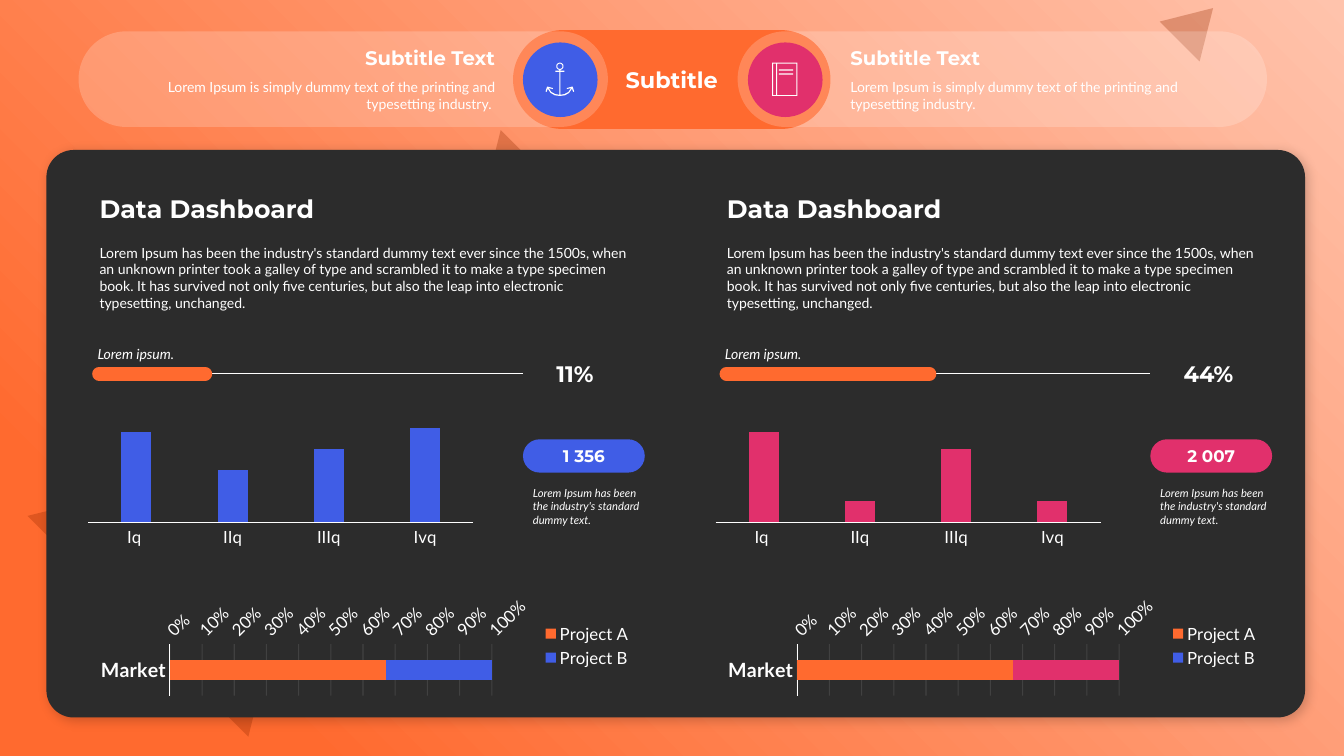
import math
from lxml import etree
from pptx import Presentation
from pptx import util as u
from pptx.chart.data import CategoryChartData
from pptx.dml.color import RGBColor
from pptx.enum import chart as ch, shapes, text
from pptx.oxml import ns, parse_xml

ORANGE, BLUE, PINK = "FF6A2F", "405DE6", "E1306C"
WHITE, DARK, BROWN = "FFFFFF", "2C2C2C", "972B00"
HEAD, BODY = "Montserrat", "Lato"
SHAPE, ALIGN, ANCHOR = shapes.MSO_SHAPE, text.PP_ALIGN, text.MSO_ANCHOR
INSETS = (0.25, 0.13, 0.25, 0.13)

SHORT = "Lorem Ipsum is simply dummy text of the printing and typesetting industry."
LONG = ("Lorem Ipsum has been the industry's standard dummy text ever since the 1500s, "
        "when an unknown printer took a galley of type and scrambled it to make a type "
        "specimen book. It has survived not only five centuries, but also the leap into "
        "electronic typesetting, unchanged.")
NOTE = "Lorem Ipsum has been the industry's standard dummy text."


def rgb(value):
    return RGBColor.from_string(value)


def xml(markup):
    return parse_xml(markup.replace(" NS", " " + ns.nsdecls("a", "c"), 1))


def set_alpha(element, percent):
    color = element.find(".//" + ns.qn("a:srgbClr"))
    etree.SubElement(color, ns.qn("a:alpha")).set("val", str(percent * 1000))


def add_text(tf, content, size=10, font=BODY, bold=False, italic=False,
             align=ALIGN.LEFT, after=0):
    p = tf.paragraphs[0] if not tf.text else tf.add_paragraph()
    p.alignment, p.space_after = align, u.Pt(after)
    r = p.add_run()
    r.text = content
    f = r.font
    f.size, f.name, f.bold, f.italic = u.Pt(size), font, bold, italic
    f.color.rgb = rgb(WHITE)


class Deck:
    def __init__(self):
        self.prs = Presentation()
        self.prs.slide_width, self.prs.slide_height = u.Cm(33.87), u.Cm(19.05)
        self.s = self.prs.slides.add_slide(self.prs.slide_layouts[6])

    def frame(self, sp, insets, anchor):
        tf = sp.text_frame
        tf.word_wrap, tf.vertical_anchor = True, anchor
        (tf.margin_left, tf.margin_top,
         tf.margin_right, tf.margin_bottom) = map(u.Cm, insets)
        return tf

    def paint(self, sp, color, alpha=None):
        sp.shadow.inherit = False
        sp.fill.solid()
        sp.fill.fore_color.rgb = rgb(color)
        sp.line.fill.background()
        if alpha:
            set_alpha(sp._element.spPr, alpha)
        return sp

    def shape(self, kind, box, color, alpha=None, adj=None, rotation=0):
        sp = self.s.shapes.add_shape(kind, *map(u.Cm, box))
        sp.rotation = rotation
        if adj is not None:
            sp.adjustments[0] = adj
        return self.paint(sp, color, alpha)

    def pill(self, box, color, insets=(0, 0, 0, 0), alpha=None):
        sp = self.shape(SHAPE.ROUNDED_RECTANGLE, box, color, alpha, adj=0.5)
        return self.frame(sp, insets, ANCHOR.MIDDLE)

    def label(self, box, content, anchor=ANCHOR.TOP, insets=INSETS, **style):
        sp = self.s.shapes.add_textbox(*map(u.Cm, box))
        add_text(self.frame(sp, insets, anchor), content, **style)

    def line(self, x, y, length, color, width, cap="flat"):
        c = self.s.shapes.add_connector(shapes.MSO_CONNECTOR.STRAIGHT, u.Cm(x), u.Cm(y),
                                        u.Cm(x + length), u.Cm(y))
        c.line.color.rgb, c.line.width = rgb(color), u.Pt(width)
        c.line._get_or_add_ln().set("cap", cap)
        etree.SubElement(c._element.spPr, ns.qn("a:effectLst"))

    def icon(self, x, y, contours):
        """Contours are in hundredths of a millimetre from (x, y)."""
        fb = None
        for points in contours:
            if fb is None:
                fb = self.s.shapes.build_freeform(*points[0], scale=u.Cm(0.001))
            else:
                fb.move_to(*points[0])
            fb.add_line_segments(points[1:], close=True)
        self.paint(fb.convert_to_shape(u.Cm(x), u.Cm(y)), WHITE)

    def chart(self, kind, box, categories, series, size, gap, overlap):
        data = CategoryChartData()
        data.categories = categories
        for name, values, _ in series:
            data.add_series(name, values)
        chart = self.s.shapes.add_chart(kind, *map(u.Cm, box), data).chart
        chart.has_title = chart.has_legend = False
        chart.font.size, chart.font.name = u.Pt(size), BODY
        chart.font.color.rgb = rgb(WHITE)
        plot = chart.plots[0]
        plot.gap_width, plot.overlap, plot.vary_by_categories = gap, overlap, False
        for ser, (_, _, color) in zip(plot.series, series):
            ser.format.fill.solid()
            ser.format.fill.fore_color.rgb = rgb(color)
        for axis in (chart.category_axis, chart.value_axis):
            axis.major_tick_mark = axis.minor_tick_mark = ch.XL_TICK_MARK.NONE
        line = chart.category_axis.format.line
        line.color.rgb, line.width = rgb(WHITE), u.Pt(0.75)
        return chart

    def quarters(self, box, values, color):
        chart = self.chart(ch.XL_CHART_TYPE.COLUMN_CLUSTERED, box,
                           ["Iq ", "IIq", "IIIq", "Ivq"],
                           [("Series 1", values, color)], 10, 219, -27)
        chart.category_axis.tick_labels.font.size = u.Pt(12)
        va = chart.value_axis
        va.visible = va.has_major_gridlines = False
        va.minimum_scale, va.maximum_scale = 0, 5
        area = chart._chartSpace.chart.plotArea
        for old in area.findall(ns.qn("c:layout")):
            area.remove(old)
        place = "".join(f'<c:{k} val="{v}"/>' for k, v in (
            ("layoutTarget", "inner"), ("xMode", "edge"), ("yMode", "edge"),
            ("x", 0.024), ("y", 0.095), ("w", 0.952), ("h", 0.635)))
        area.insert(0, xml(f"<c:layout NS><c:manualLayout>{place}</c:manualLayout></c:layout>"))

    def market(self, box, color):
        chart = self.chart(ch.XL_CHART_TYPE.BAR_STACKED_100, box, ["Market"],
                           [("Project A", [67], ORANGE), ("Project B", [33], BLUE)],
                           12, 155, 100)
        if color != BLUE:
            fill = chart.plots[0].series[1].points[0].format.fill
            fill.solid()
            fill.fore_color.rgb = rgb(color)
        chart.has_legend = True
        chart.legend.position = ch.XL_LEGEND_POSITION.RIGHT
        chart.legend.include_in_layout = False
        ca, va = chart.category_axis, chart.value_axis
        ca.reverse_order = True
        ca.tick_labels.font.size, ca.tick_labels.font.bold = u.Pt(14), True
        va.tick_labels.number_format = "0%"
        va.tick_labels.number_format_is_linked = False
        va.format.line.fill.background()
        grid = va.major_gridlines.format.line
        grid.color.rgb, grid.width = rgb(WHITE), u.Pt(0.75)
        set_alpha(va._element.find(ns.qn("c:majorGridlines")), 10)


def backdrop(d):
    sp = d.shape(SHAPE.RECTANGLE, (0, 0, 33.87, 19.05), ORANGE)
    pr = sp._element.spPr
    pr.replace(pr.find(ns.qn("a:solidFill")), xml(
        '<a:gradFill NS rotWithShape="1"><a:gsLst>'
        '<a:gs pos="0"><a:srgbClr val="FFC3AC"/></a:gs>'
        f'<a:gs pos="85000"><a:srgbClr val="{ORANGE}"/></a:gs></a:gsLst>'
        '<a:path path="circle"><a:fillToRect l="100000" b="100000"/></a:path></a:gradFill>'))
    for box, flip in (((1.85, 10.21, 7.87, 6.53), "0"), ((11.61, 3.81, 2.29, 1.9), "1"),
                      ((29.44, 0.03, 1.42, 1.19), "0")):
        sp = d.shape(SHAPE.ISOSCELES_TRIANGLE, box, BROWN, alpha=30, rotation=45)
        sp._element.spPr.xfrm.set("flipV", flip)


def rect(left, top, right, bottom):
    return [(left, top), (right, top), (right, bottom), (left, bottom)]


def ring(radius, start=0, end=360):
    return [(radius * math.sin(math.radians(a)), 91 - radius * math.cos(math.radians(a)))
            for a in range(start, end, 10)]


def header(d):
    add_text(d.pill((12.93, 0.76, 8, 2.49), ORANGE, (2.2, 0.13, 2.2, 0.13)), "Subtitle",
             size=16, font=HEAD, bold=True, align=ALIGN.CENTER)
    for x, insets, align, body in (
            (18.59, (2.49, 0.13, 0.51, 0.13), ALIGN.LEFT, SHORT),
            (1.98, (0.51, 0.13, 2.49, 0.13), ALIGN.RIGHT, SHORT + " ")):
        tf = d.pill((x, 0.79, 13.34, 2.41), WHITE, insets, alpha=20)
        add_text(tf, "Subtitle Text", size=14, font=HEAD, bold=True, align=align, after=6)
        add_text(tf, body, align=align, after=6)
    for x, color in ((13.18, BLUE), (18.85, PINK)):
        d.shape(SHAPE.OVAL, (x, 1.07, 1.88, 1.88), color)
    # Anchor: right half, then its mirror
    half = ring(91, 0, 175) + [
        (13, 203), (114, 203), (114, 229), (13, 229), (13, 808), (114, 792), (216, 737),
        (284, 640), (178, 665), (173, 640), (300, 605), (323, 605), (361, 726), (335, 737),
        (305, 655), (234, 762), (127, 823), (0, 838)]
    d.icon(14.11, 1.58, [half + [(-x, y) for x, y in half[-2:0:-1]], ring(66)])
    # Book
    d.icon(19.46, 1.58, [rect(0, 0, 635, 840), rect(25, 25, 102, 815),
                         rect(127, 25, 610, 815)])
    for y in (1.75, 1.85):
        d.shape(SHAPE.RECTANGLE, (19.63, y, 0.36, 0.03), WHITE)


def panel(d):
    sp = d.shape(SHAPE.ROUNDED_RECTANGLE, (1.17, 3.78, 31.72, 14.3), DARK, adj=0.048)
    pr = sp._element.spPr
    pr.replace(pr.find(ns.qn("a:effectLst")), xml(
        '<a:effectLst NS><a:outerShdw blurRad="101600" dist="38100" dir="2700000">'
        '<a:srgbClr val="000000"><a:alpha val="20000"/></a:srgbClr>'
        '</a:outerShdw></a:effectLst>'))


def dashboard(d, x, color, total, share, progress, values):
    add_text(d.pill((x + 13.18, 11.07, 3.07, 0.84), color), total, size=12, font=HEAD,
             bold=True, align=ALIGN.CENTER)
    d.label((x + 13.18, 12.12, 3.51, 1.27), NOTE, size=8, italic=True)
    d.quarters((x + 1.98, 10.11, 10.19, 4.19), values, color)
    d.market((x + 2.26, 14.96, 13.92, 2.62), color)
    d.label((x + 2.26, 6.02, 13.92, 1.96), LONG, after=6)
    d.label((x + 2.26, 4.75, 13.92, 1.02), "Data Dashboard", ANCHOR.BOTTOM,
            size=18, font=HEAD, bold=True)
    # Progress bar
    d.line(x + 2.36, 9.42, 10.82, WHITE, 0.5)
    d.line(x + 2.5, 9.42, progress, ORANGE, 10, cap="rnd")
    d.label((x + 13.77, 8.94, 2.41, 0.94), share, ANCHOR.MIDDLE,
            size=16, font=HEAD, bold=True)
    d.label((x + 2.26, 8.56, 4.88, 0.69), "Lorem ipsum.", ANCHOR.BOTTOM,
            (0.2, 0.13, 0.25, 0.13), italic=True)


def main():
    d = Deck()
    backdrop(d)
    header(d)
    panel(d)
    dashboard(d, 0, BLUE, "1 356", "11%", 2.67, [4.3, 2.5, 3.5, 4.5])
    dashboard(d, 15.81, PINK, "2 007", "44%", 5.11, [4.3, 1, 3.5, 1])
    d.prs.save("out.pptx")


if __name__ == "__main__":
    main()
